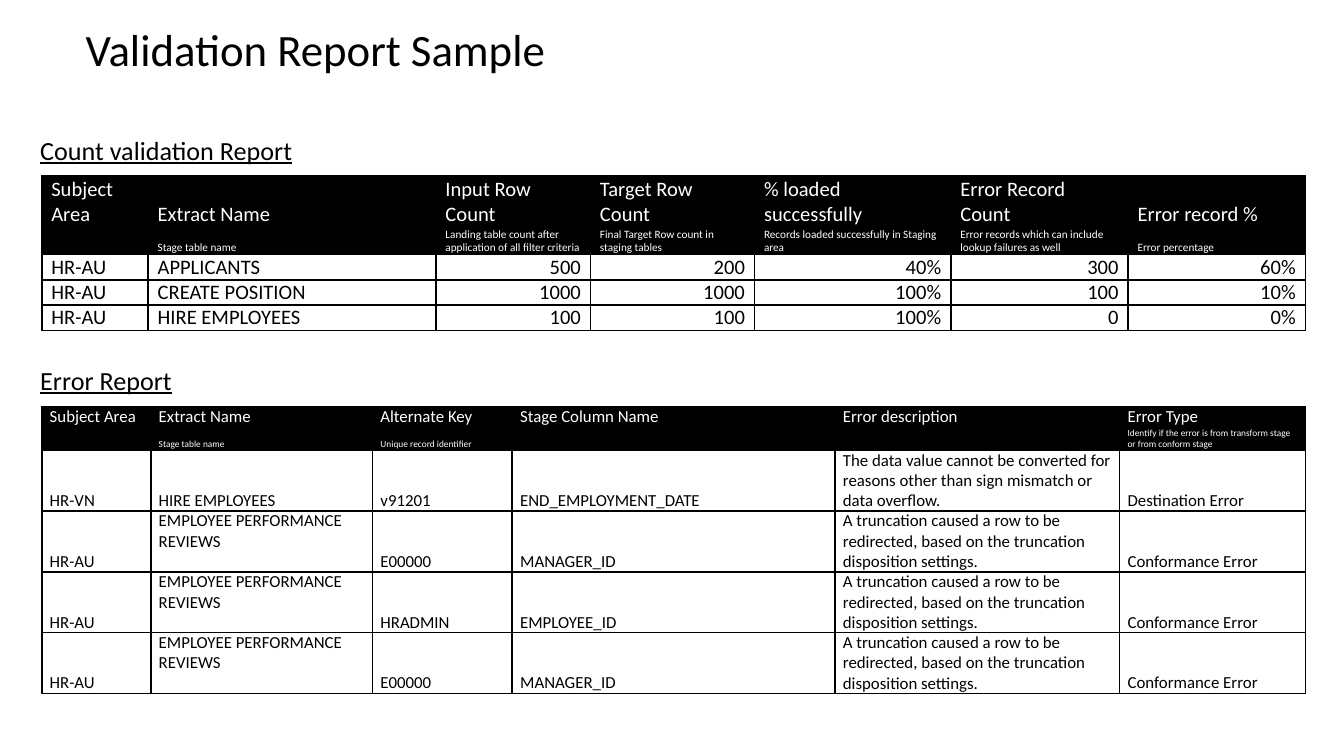
import dataclasses

import pptx
import pptx.dml.color
import pptx.enum.text
import pptx.oxml
import pptx.oxml.ns
import pptx.util

Cm = pptx.util.Cm
Pt = pptx.util.Pt
ANCHOR = pptx.enum.text.MSO_ANCHOR
ALIGN = pptx.enum.text.PP_ALIGN


@dataclasses.dataclass(frozen=True)
class Theme:
    font: str = "Calibri"
    dark: str = "000000"
    light: str = "FFFFFF"
    title: int = 24
    heading: int = 14
    border: float = 1


THEME = Theme()
TABLE_LEFT = 0.79
HEADER_ROWS = 2
TRUNCATION = ("A truncation caused a row to be redirected, "
              "based on the truncation disposition settings.")
REVIEWS = "EMPLOYEE PERFORMANCE REVIEWS"

# Count report: column widths and row heights in cm
COUNT_REPORT = {
    "top": 3.33,
    "columns": [2.01, 5.44, 2.92, 3.1, 3.71, 3.35, 3.35],
    "heights": [0.97, 0.49] + [0.48] * 3,
    "sizes": (11, 6),
    "inset": 0.18,
    "first_number_column": 2,
    "rows": [
        ["Subject Area", "Extract Name", "Input Row Count", "Target Row Count",
         "% loaded successfully", "Error Record Count", "Error record %"],
        ["", "Stage table name",
         "Landing table count after application of all filter criteria",
         "Final Target Row count in staging tables",
         "Records loaded successfully in Staging area",
         "Error records which can include lookup failures as well",
         "Error percentage"],
        ["HR-AU", "APPLICANTS", "500", "200", "40%", "300", "60%"],
        ["HR-AU", "CREATE POSITION", "1000", "1000", "100%", "100", "10%"],
        ["HR-AU", "HIRE EMPLOYEES", "100", "100", "100%", "0", "0%"],
    ],
}

# Error report
ERROR_REPORT = {
    "top": 7.69,
    "columns": [2.06, 4.19, 2.64, 6.1, 5.38, 3.51],
    "heights": [0.39, 0.43] + [1.15] * 4,
    "sizes": (9, 5),
    "inset": 0.15,
    "first_number_column": 6,
    "rows": [
        ["Subject Area", "Extract Name", "Alternate Key", "Stage Column Name",
         "Error description", "Error Type"],
        ["", "Stage table name", "Unique record identifier", "", "",
         "Identify if the error is from transform stage or from conform stage"],
        ["HR-VN", "HIRE EMPLOYEES", "v91201", "END_EMPLOYMENT_DATE",
         "The data value cannot be converted for reasons other than "
         "sign mismatch or data overflow.", "Destination Error"],
    ] + [
        ["HR-AU", REVIEWS, key, column, TRUNCATION, "Conformance Error"]
        for key, column in [("E00000", "MANAGER_ID"), ("HRADMIN", "EMPLOYEE_ID"),
                            ("E00000", "MANAGER_ID")]
    ],
}


def set_attributes(target, values):
    for name, value in values.items():
        setattr(target, name, value)


def write_text(paragraph, text, size, color, **font_values):
    run = paragraph.add_run()
    run.text = text
    set_attributes(run.font, {"name": THEME.font, "size": Pt(size), **font_values})
    run.font.color.rgb = pptx.dml.color.RGBColor.from_string(color)


def add_text(slide, position, text, size, **font_values):
    shape = slide.shapes.add_textbox(*(Cm(value) for value in position))
    shape.text_frame.word_wrap = True
    paragraph = shape.text_frame.paragraphs[0]
    write_text(paragraph, text, size, THEME.dark, **font_values)
    return paragraph


def add_borders(cell):
    properties = cell._tc.get_or_add_tcPr()
    for index, side in enumerate(("lnL", "lnR", "lnT", "lnB")):
        line = pptx.oxml.parse_xml(
            f'<a:{side} {pptx.oxml.ns.nsdecls("a")} w="{Pt(THEME.border)}">'
            f'<a:solidFill><a:srgbClr val="{THEME.dark}"/></a:solidFill></a:{side}>')
        properties.insert(index, line)


def format_cell(cell, text, size, is_header, is_number, inset):
    anchor = ANCHOR.TOP if text == REVIEWS else ANCHOR.BOTTOM
    set_attributes(cell, {
        "margin_left": Cm(inset), "margin_right": Cm(inset),
        "margin_top": 0, "margin_bottom": 0, "vertical_anchor": anchor,
    })
    if is_header:
        cell.fill.solid()
        cell.fill.fore_color.rgb = pptx.dml.color.RGBColor.from_string(THEME.dark)
    else:
        cell.fill.background()
    add_borders(cell)

    paragraph = cell.text_frame.paragraphs[0]
    if text:
        paragraph.alignment = ALIGN.RIGHT if is_number else ALIGN.LEFT
        write_text(paragraph, text, size, THEME.light if is_header else THEME.dark)
    else:
        # An empty cell needs a small type size to keep its row low
        paragraph._p.append(pptx.oxml.parse_xml(
            f'<a:endParaRPr {pptx.oxml.ns.nsdecls("a")} sz="{size * 100}"/>'))


def add_report(slide, report):
    rows, columns, heights = report["rows"], report["columns"], report["heights"]
    frame = slide.shapes.add_table(
        len(rows), len(columns), Cm(TABLE_LEFT), Cm(report["top"]),
        Cm(sum(columns)), Cm(sum(heights)))
    table = frame.table
    set_attributes(table, {"first_row": False, "horz_banding": False})
    for column, width in zip(table.columns, columns):
        column.width = Cm(width)
    for row, height in zip(table.rows, heights):
        row.height = Cm(height)

    text_size, note_size = report["sizes"]
    for row_index, texts in enumerate(rows):
        is_header = row_index < HEADER_ROWS
        size = note_size if row_index == 1 else text_size
        for column_index, text in enumerate(texts):
            is_number = (not is_header
                         and column_index >= report["first_number_column"])
            format_cell(table.cell(row_index, column_index), text, size,
                        is_header, is_number, report["inset"])


def main():
    presentation = pptx.Presentation()
    set_attributes(presentation, {"slide_width": Cm(25.4), "slide_height": Cm(14.29)})
    slide = presentation.slides.add_slide(presentation.slide_layouts[6])

    # Title
    title = add_text(slide, (1.37, 0.41, 21.89, 1.35),
                     "Validation Report Sample", THEME.title)
    title.line_spacing = 0.9

    # Reports with their headings
    add_text(slide, (0.51, 2.41, 8, 0.86), "Count validation Report",
             THEME.heading, underline=True)
    add_report(slide, COUNT_REPORT)
    add_text(slide, (0.51, 6.76, 7.29, 0.86), "Error Report",
             THEME.heading, underline=True)
    add_report(slide, ERROR_REPORT)

    presentation.save("out.pptx")


if __name__ == "__main__":
    main()
